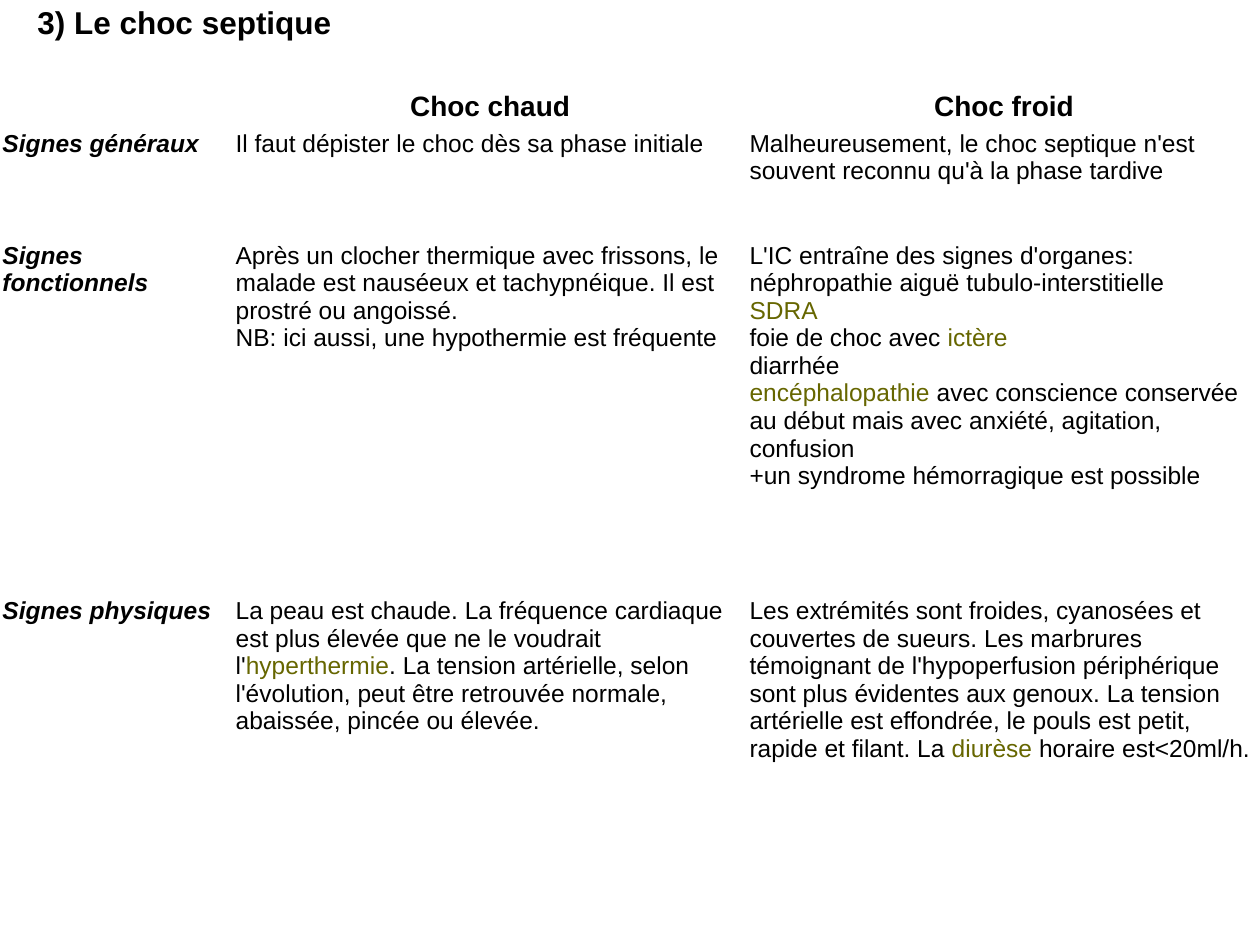
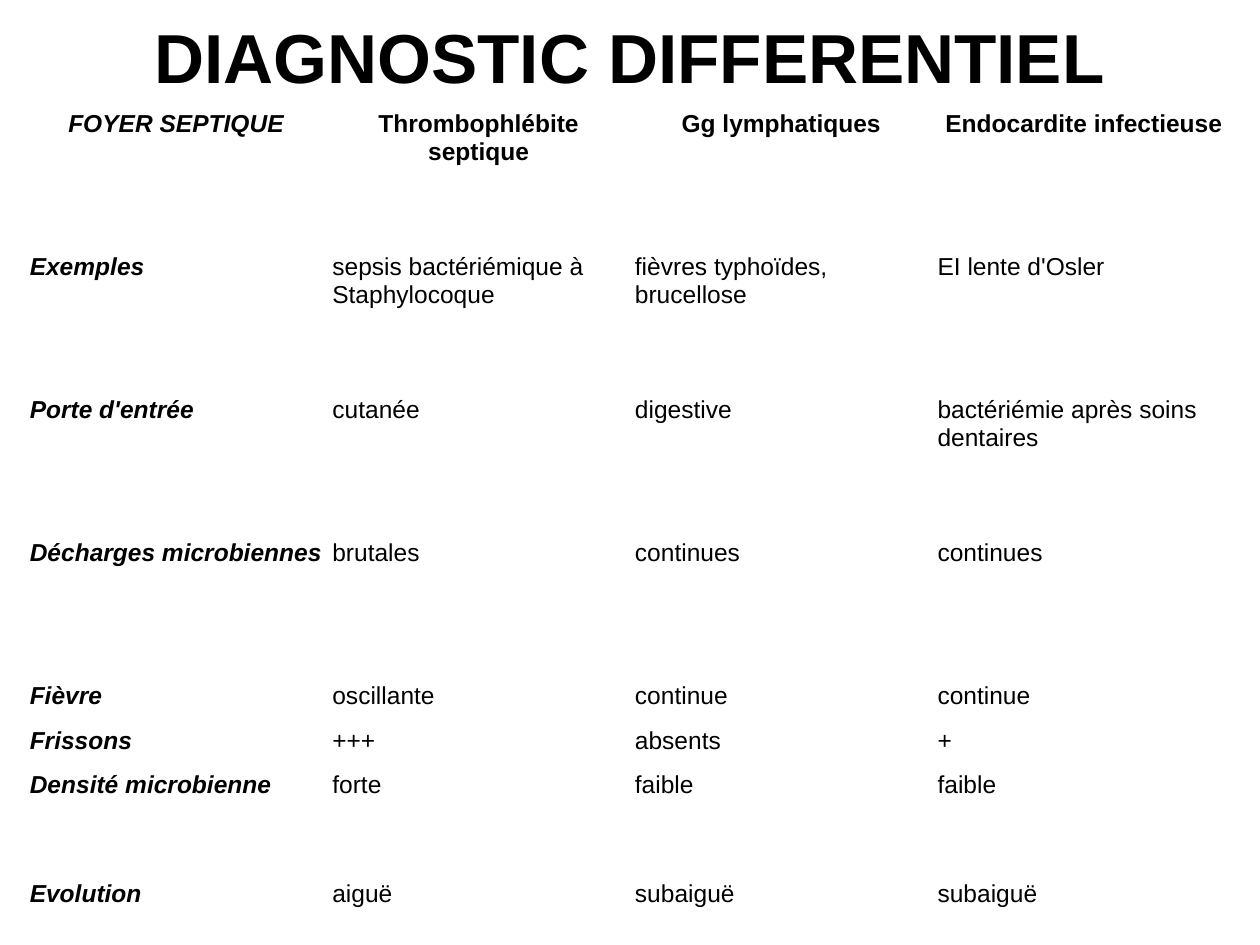
from pptx import Presentation
from pptx.dml.color import RGBColor
from pptx.enum.text import MSO_ANCHOR, MSO_AUTO_SIZE, PP_ALIGN
from pptx.util import Cm, Pt

LEFT, CENTER = PP_ALIGN.LEFT, PP_ALIGN.CENTER
TOP, MIDDLE = MSO_ANCHOR.TOP, MSO_ANCHOR.MIDDLE
NO_FIT = MSO_AUTO_SIZE.NONE

BLACK = RGBColor(0x00, 0x00, 0x00)
WHITE = RGBColor(0xFF, 0xFF, 0xFF)
OLIVE = RGBColor(0x66, 0x66, 0x00)
FONT = "Arial"
BODY_SIZE = 14

# Content: *...* marks an olive term; lengths in cm, sizes in points
SEPTIC_SHOCK = {
    "title": "3) Le choc septique",
    "title_box": (0.5, 0, 24.5, 0.88),
    "title_size": 18,
    "title_align": LEFT,
    "origin": (0, 1.73),
    "columns": [4.7, 10.36, 10.36],
    "heights": [0.84, 2.26, 7.16, 6.55],
    "inset": 0.05,
    "header_size": 16,
    "header_anchor": MIDDLE,
    "rows": [
        ("", "Choc chaud", "Choc froid"),
        ("Signes généraux",
         "Il faut dépister le choc dès sa phase initiale",
         "Malheureusement, le choc septique n'est souvent reconnu "
         "qu'à la phase tardive"),
        ("Signes fonctionnels",
         "Après un clocher thermique avec frissons, le malade est nauséeux "
         "et tachypnéique. Il est prostré ou angoissé.\n"
         "NB: ici aussi, une hypothermie est fréquente",
         "L'IC entraîne des signes d'organes:\n"
         "néphropathie aiguë tubulo-interstitielle\n"
         "*SDRA*\n"
         "foie de choc avec *ictère*\n"
         "diarrhée\n"
         "*encéphalopathie* avec conscience conservée au début mais avec "
         "anxiété, agitation, confusion\n"
         "+un syndrome hémorragique est possible"),
        ("Signes physiques",
         "La peau est chaude. La fréquence cardiaque est plus élevée que ne "
         "le voudrait l'*hyperthermie*. La tension artérielle, selon "
         "l'évolution, peut être retrouvée normale, abaissée, pincée ou "
         "élevée.",
         "Les extrémités sont froides, cyanosées et couvertes de sueurs. Les "
         "marbrures témoignant de l'hypoperfusion périphérique sont plus "
         "évidentes aux genoux. La tension artérielle est effondrée, le pouls "
         "est petit, rapide et filant. La *diurèse* horaire est<20ml/h."),
    ],
}

DIFFERENTIAL = {
    "title": "DIAGNOSTIC DIFFERENTIEL",
    "title_box": (1.27, 0.13, 22.86, 2),
    "title_size": 39.6,
    "title_align": CENTER,
    "origin": (0.5, 2.13),
    "columns": [6.1] * 4,
    "heights": [2.88] * 4 + [0.9, 0.9, 2.2, 0.9],
    "inset": 0.1,
    "header_size": BODY_SIZE,
    "header_anchor": TOP,
    "rows": [
        ("FOYER SEPTIQUE", "Thrombophlébite septique", "Gg lymphatiques",
         "Endocardite infectieuse"),
        ("Exemples", "sepsis bactériémique à Staphylocoque",
         "fièvres typhoïdes, brucellose", "EI lente d'Osler"),
        ("Porte d'entrée", "cutanée", "digestive",
         "bactériémie après soins dentaires"),
        ("Décharges microbiennes", "brutales", "continues", "continues"),
        ("Fièvre", "oscillante", "continue", "continue"),
        ("Frissons", "+++", "absents", "+"),
        ("Densité microbienne", "forte", "faible", "faible"),
        ("Evolution", "aiguë", "subaiguë", "subaiguë"),
    ],
}


def style(paragraph, size, align, bold, italic=False):
    paragraph.alignment = align
    font = paragraph.font
    font.name, font.size = FONT, Pt(size)
    font.bold, font.italic = bold, italic
    font.color.rgb = BLACK


def write_marked(paragraph, text):
    """Write text with line breaks and olive *terms*."""
    for number, line in enumerate(text.split("\n")):
        if number:
            paragraph.add_line_break()
        for part, words in enumerate(line.split("*")):
            if words:
                run = paragraph.add_run()
                run.text = words
                if part % 2:
                    run.font.color.rgb = OLIVE


def add_title(slide, topic):
    title = slide.shapes.title
    title.left, title.top, title.width, title.height = map(Cm, topic["title_box"])
    frame = title.text_frame
    frame.text = topic["title"]
    frame.auto_size = NO_FIT
    frame.vertical_anchor = MIDDLE
    style(frame.paragraphs[0], topic["title_size"], topic["title_align"], True)


def add_signs_table(slide, topic):
    rows, columns, heights = topic["rows"], topic["columns"], topic["heights"]
    left, top = topic["origin"]
    table = slide.shapes.add_table(
        len(rows), len(columns), Cm(left), Cm(top),
        Cm(sum(columns)), Cm(sum(heights))).table
    table.first_row = table.horz_banding = False
    for column, width in zip(table.columns, columns):
        column.width = Cm(width)
    for row, height in zip(table.rows, heights):
        row.height = Cm(height)

    for r, texts in enumerate(rows):
        is_header = r == 0
        for c, text in enumerate(texts):
            cell = table.cell(r, c)
            cell.fill.solid()
            cell.fill.fore_color.rgb = WHITE
            cell.margin_left = cell.margin_right = Cm(topic["inset"])
            cell.margin_top = cell.margin_bottom = Cm(topic["inset"])
            cell.vertical_anchor = topic["header_anchor"] if is_header else TOP
            paragraph = cell.text_frame.paragraphs[0]
            write_marked(paragraph, text)
            style(paragraph,
                  topic["header_size"] if is_header else BODY_SIZE,
                  CENTER if is_header else LEFT,
                  bold=is_header or c == 0, italic=c == 0)


def main():
    deck = Presentation()
    deck.slide_width, deck.slide_height = Cm(25.4), Cm(19.05)
    title_only = deck.slide_layouts[5]
    for topic in (SEPTIC_SHOCK, DIFFERENTIAL):
        slide = deck.slides.add_slide(title_only)
        add_title(slide, topic)
        add_signs_table(slide, topic)
    deck.save("out.pptx")


if __name__ == "__main__":
    main()
